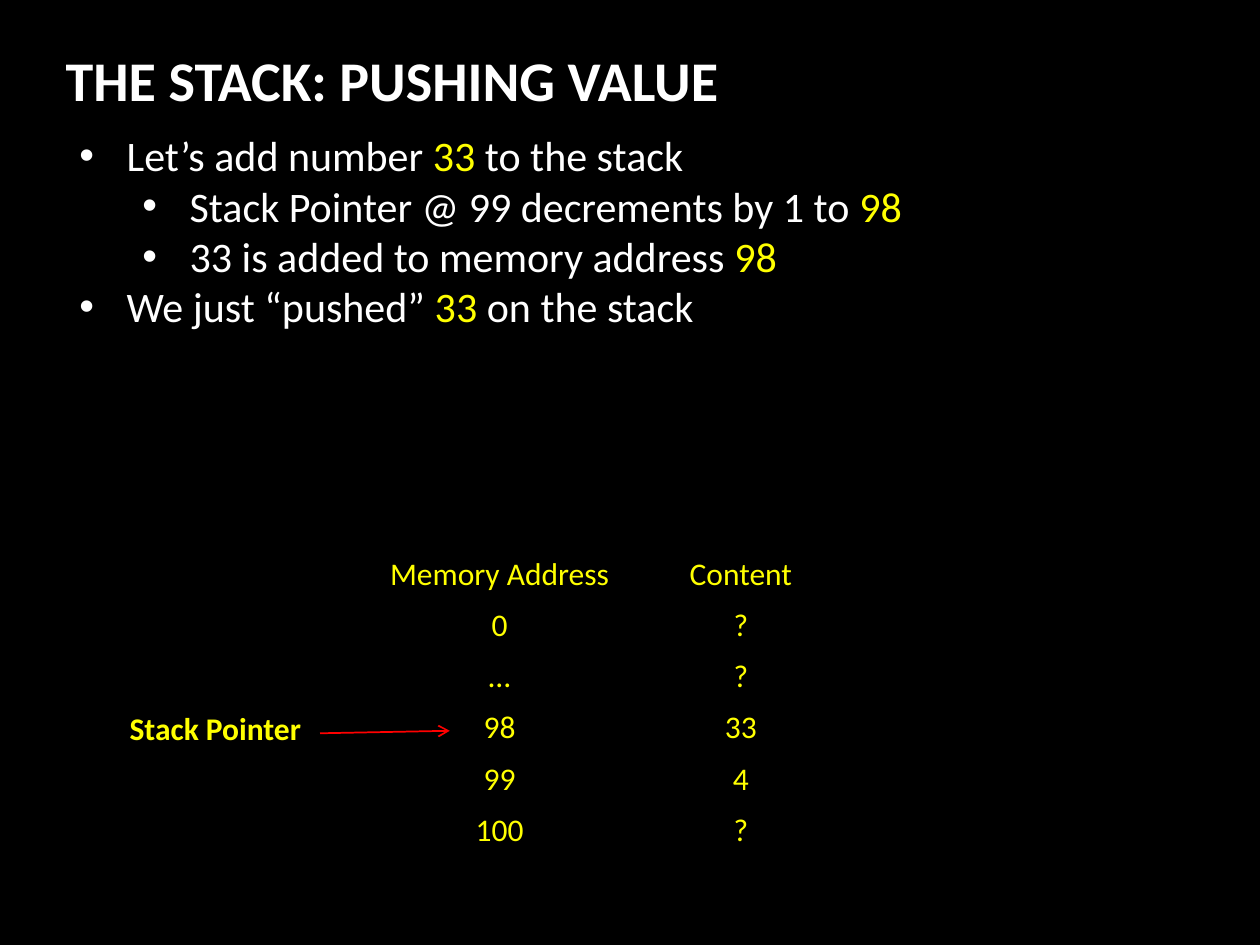
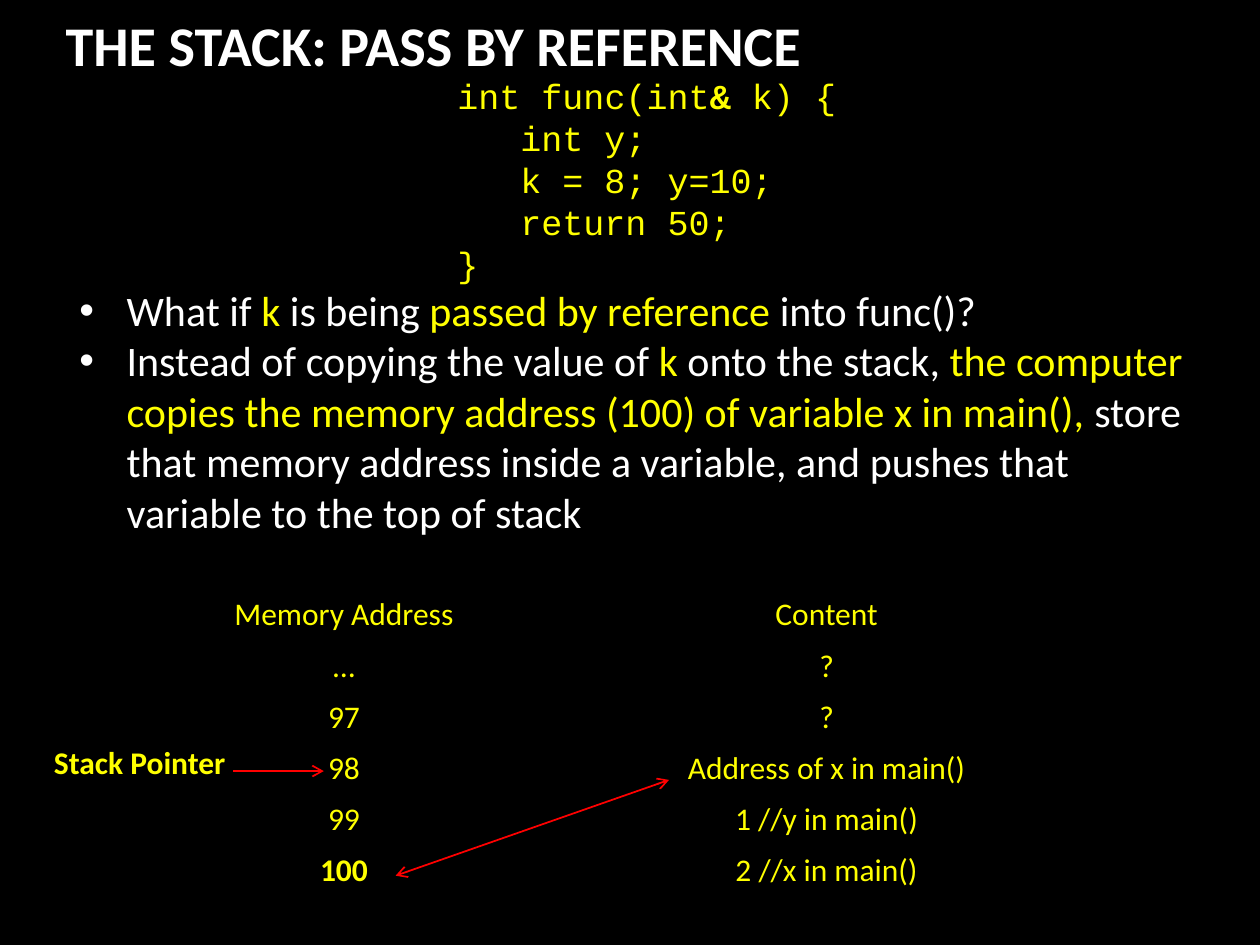
from lxml.etree import SubElement
from pptx import Presentation
from pptx.dml.color import RGBColor as Rgb
from pptx.enum.shapes import MSO_CONNECTOR as Wire
from pptx.enum.text import MSO_ANCHOR as Anchor, MSO_AUTO_SIZE as Fit, PP_ALIGN as Align
from pptx.oxml.ns import qn
from pptx.util import Inches, Pt

HEX = {"back": "000000", "text": "FFFFFF", "mark": "FFFF00", "arrow": "FF0000"}
SANS, MONO = "Calibri", "Courier New"
PLAIN = "{2D5ABB26-0587-4C30-8999-92F81FD0307C}"
COLS, ROWS = 100, 75
ROW = 4.05

# Left margin and first-line indent in columns, and bullet, of each kind of line
KINDS = {
    "point": (3.75, -3.75, "•"),
    "sub": (8.75, -3.75, "•"),
    "code": (30, 0, None),
    "inner": (35, 0, None),
}


def tint(name):
    return Rgb.from_string(HEX[name])


class Deck:
    """Holds the style and the current slide; places are in grid columns and rows."""

    def __init__(self):
        self.prs = Presentation()
        self.prs.slide_width, self.prs.slide_height = Inches(10), Inches(7.5)
        self.col = self.prs.slide_width / COLS
        self.row = self.prs.slide_height / ROWS
        fill = self.prs.slide_master.background.fill
        fill.solid()
        fill.fore_color.rgb = tint("back")

    def grid(self, *nums):
        """Turn column, row, column, row, ... into lengths."""
        return [round(n * (self.row if i % 2 else self.col)) for i, n in enumerate(nums)]

    def place(self, shape, box, wrap):
        shape.left, shape.top, shape.width, shape.height = self.grid(*box)
        frame = shape.text_frame
        frame.word_wrap = wrap
        frame.auto_size = Fit.NONE
        frame.vertical_anchor = Anchor.TOP
        return frame

    def words(self, par, text, size, color, face=SANS, bold=False, mark=None):
        """Fill a paragraph; parts between asterisks get the mark colour, or bold."""
        font = par.font
        font.name, font.size, font.bold = face, Pt(size), bold
        if not mark:
            font.color.rgb = tint(color)
        for i, part in enumerate(text.split("*")):
            if not part:
                continue
            run = par.add_run()
            run.text = part
            if mark:
                run.font.color.rgb = tint(mark if i % 2 else color)
            elif i % 2:
                run.font.bold = True

    def title(self, text, top, width):
        self.slide = self.prs.slides.add_slide(self.prs.slide_layouts[1])
        frame = self.place(self.slide.shapes.title, (4.2, top, width, 6.4), False)
        par = frame.paragraphs[0]
        par.alignment = Align.LEFT
        self.words(par, text, 32, "text", bold=True)

    def body(self, top, height, lines):
        frame = self.place(self.slide.placeholders[1], (5.3, top, 90.8, height), True)
        for i, (kind, text) in enumerate(lines):
            par = frame.add_paragraph() if i else frame.paragraphs[0]
            self.indent(par, *KINDS[kind])
            par.space_before = Pt(0)
            if kind in ("code", "inner"):
                self.words(par, text, 20, "mark", MONO)
            else:
                self.words(par, text, 24, "text", mark="mark")

    def indent(self, par, left, first, sign):
        props = par._p.get_or_add_pPr()
        props.set("marL", str(round(left * self.col)))
        props.set("indent", str(round(first * self.col)))
        if sign:
            SubElement(props, qn("a:buFont")).set("typeface", "Arial")
            SubElement(props, qn("a:buChar")).set("char", sign)
        else:
            SubElement(props, qn("a:buNone"))

    def label(self, text, left, top):
        box = self.slide.shapes.add_textbox(0, 0, 0, 0)
        frame = self.place(box, (left, top, 15.9, 4), False)
        self.words(frame.paragraphs[0], text, 18, "mark", bold=True)

    def table(self, left, top, widths, data):
        box = self.grid(left, top, sum(widths), ROW * len(data))
        table = self.slide.shapes.add_table(len(data), len(widths), *box).table
        table.first_row = table.horz_banding = False
        table._tbl.tblPr.find(qn("a:tableStyleId")).text = PLAIN
        for col, width in zip(table.columns, widths):
            col.width = round(width * self.col)
        for r, texts in enumerate(data):
            for c, text in enumerate(texts):
                cell = table.cell(r, c)
                cell.fill.background()
                par = cell.text_frame.paragraphs[0]
                par.alignment = Align.CENTER
                self.words(par, text, 18, "mark")

    def arrow(self, *ends, both=False):
        wire = self.slide.shapes.add_connector(Wire.STRAIGHT, *self.grid(*ends))
        wire.line.color.rgb = tint("arrow")
        wire.line.width = Pt(1)
        props = wire.element.spPr
        line = props.find(qn("a:ln"))
        for tip in ("a:headEnd", "a:tailEnd") if both else ("a:tailEnd",):
            SubElement(line, qn(tip)).set("type", "arrow")
        SubElement(props, qn("a:effectLst"))


def push(deck):
    deck.title("THE STACK: PUSHING VALUE", 3.1, 55.1)
    deck.body(9.8, 21.2, [
        ("point", "Let’s add number *33 *to the stack"),
        ("sub", "Stack Pointer @ 99 decrements by 1 to *98*"),
        ("sub", "33 is added to memory address *98*"),
        ("point", "We just “pushed” *33 *on the stack"),
    ])
    deck.table(28.5, 43.6, (22.3, 16), [
        ("Memory Address", "Content"),
        ("0", "?"),
        ("…", "?"),
        ("98", "33"),
        ("99", "4"),
        ("100", "?"),
    ])
    deck.arrow(25.4, 58.2, 35.7, 58)
    deck.label("Stack Pointer", 9.3, 55.8)


def refer(deck):
    deck.title("THE STACK: PASS BY REFERENCE", 0.3, 63.9)
    deck.body(5.4, 38, [
        ("code", "int func(int*&* k) {"),
        ("inner", "int y;"),
        ("inner", "k = 8; y=10;"),
        ("inner", "return 50;"),
        ("code", "}"),
        ("point", "What if *k* is being *passed by reference *into func()?"),
        ("point", "Instead of copying the value of *k* onto the stack, "
                  "*the computer copies the memory address (100) of variable x in main(), *"
                  "store that memory address inside a variable, "
                  "and pushes that variable to the top of stack"),
    ])
    deck.table(15.9, 46.8, (22.8, 53.8), [
        ("Memory Address", "Content"),
        ("…", "?"),
        ("97", "?"),
        ("98", "Address of x in main()"),
        ("99", "1 //y in main()"),
        ("*100*", "2 //x in main()"),
    ])
    deck.arrow(18.5, 61.2, 25.7, 61.2)
    deck.label("Stack Pointer", 3.3, 58.5)
    deck.arrow(31.4, 69.5, 53.1, 61.9, both=True)


def main():
    deck = Deck()
    push(deck)
    refer(deck)
    deck.prs.save("out.pptx")


if __name__ == "__main__":
    main()
